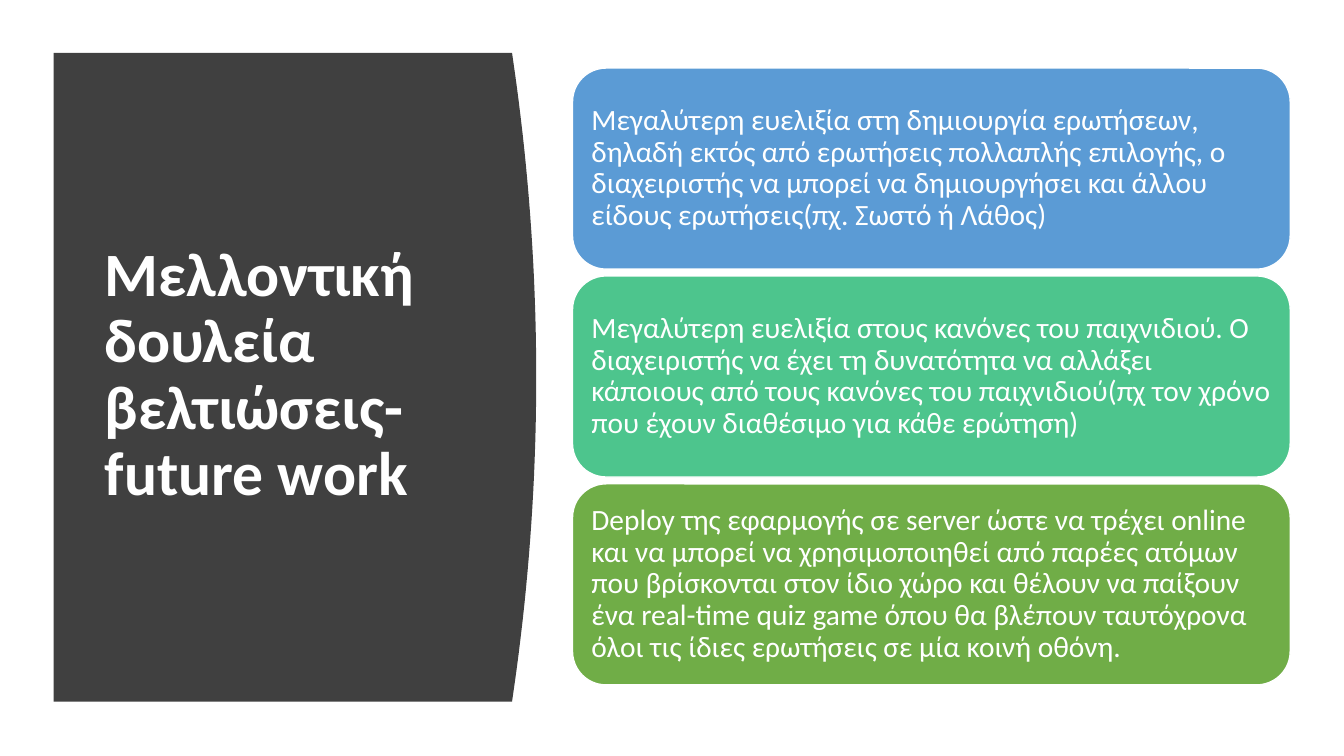
from dataclasses import dataclass

from pptx import Presentation
from pptx.dml.color import RGBColor as Rgb
from pptx.enum.shapes import MSO_SHAPE as Kind
from pptx.enum.text import MSO_ANCHOR as Anchor, PP_ALIGN as Align
from pptx.util import Inches, Pt


@dataclass
class Theme:
    font: str = "Calibri"
    head: int = 44
    body: int = 21
    white: str = "FFFFFF"
    dark: str = "404040"
    blue: str = "5B9BD5"
    mint: str = "4DC58D"
    green: str = "70AD47"


theme = Theme()
deck = Presentation()
deck.slide_width, deck.slide_height = Inches(13.33), Inches(7.5)
wide, high = deck.slide_width / 100, deck.slide_height / 100
slide = deck.slides.add_slide(deck.slide_layouts[6])


def place(left, top, width, height):
    return [round(n) for n in (left * wide, top * high, width * wide, height * high)]


def write(shape, text, size, inset, bold=False):
    frame = shape.text_frame
    frame.word_wrap = True
    frame.vertical_anchor = Anchor.MIDDLE
    frame.margin_left = frame.margin_right = Inches(inset)
    frame.margin_top = frame.margin_bottom = Inches(inset)
    para = frame.paragraphs[0]
    para.text = text
    para.alignment = Align.LEFT
    para.line_spacing = 0.9
    para.font.name = theme.font
    para.font.size = Pt(size)
    para.font.bold = bold
    para.font.color.rgb = Rgb.from_string(theme.white)


left, edge, bulge = 4, 38.1, 1.8
top, base = 7, 92.8
steps = 40
curve = []
for step in range(steps + 1):
    turn = 2 * step / steps - 1
    across = edge + bulge * (1 - turn ** 2)
    down = top + (base - top) * step / steps
    curve.append((round(across * wide), round(down * high)))

pen = slide.shapes.build_freeform(round(left * wide), round(top * high))
pen.add_line_segments(curve + [(round(left * wide), round(base * high))], close=True)
panel = pen.convert_to_shape()
panel.shadow.inherit = False
panel.fill.solid()
panel.fill.fore_color.rgb = Rgb.from_string(theme.dark)
panel.line.fill.background()

title = slide.shapes.add_textbox(*place(7.05, 14.8, 28.05, 69.87))
write(title, "Μελλοντική δουλεία βελτιώσεις-future work", theme.head, 0.1, True)

cards = [
    (theme.blue, "Μεγαλύτερη ευελιξία στη δημιουργία ερωτήσεων, δηλαδή εκτός από "
     "ερωτήσεις πολλαπλής επιλογής, ο διαχειριστής να μπορεί να δημιουργήσει "
     "και άλλου είδους ερωτήσεις(πχ. Σωστό ή Λάθος)"),
    (theme.mint, "Μεγαλύτερη ευελιξία στους κανόνες του παιχνιδιού. O διαχειριστής "
     "να έχει τη δυνατότητα να αλλάξει κάποιους από τους κανόνες του "
     "παιχνιδιού(πχ τον χρόνο που έχουν διαθέσιμο για κάθε ερώτηση)"),
    (theme.green, "Deploy της εφαρμογής σε server ώστε να τρέχει online και να μπορεί "
     "να χρησιμοποιηθεί από παρέες ατόμων που βρίσκονται στον ίδιο χώρο και "
     "θέλουν να παίξουν ένα real-time quiz game όπου θα βλέπουν ταυτόχρονα "
     "όλοι τις ίδιες ερωτήσεις σε μία κοινή οθόνη."),
]
first, tall, gap = 9, 26.6, 0.9
for row, (color, text) in enumerate(cards):
    spot = place(42.6, first + row * (tall + gap), 53.4, tall)
    card = slide.shapes.add_shape(Kind.ROUNDED_RECTANGLE, *spot)
    card.shadow.inherit = False
    card.fill.solid()
    card.fill.fore_color.rgb = Rgb.from_string(color)
    card.line.color.rgb = Rgb.from_string(theme.white)
    card.line.width = Pt(1)
    write(card, text, theme.body, 0.09)

deck.save("out.pptx")
